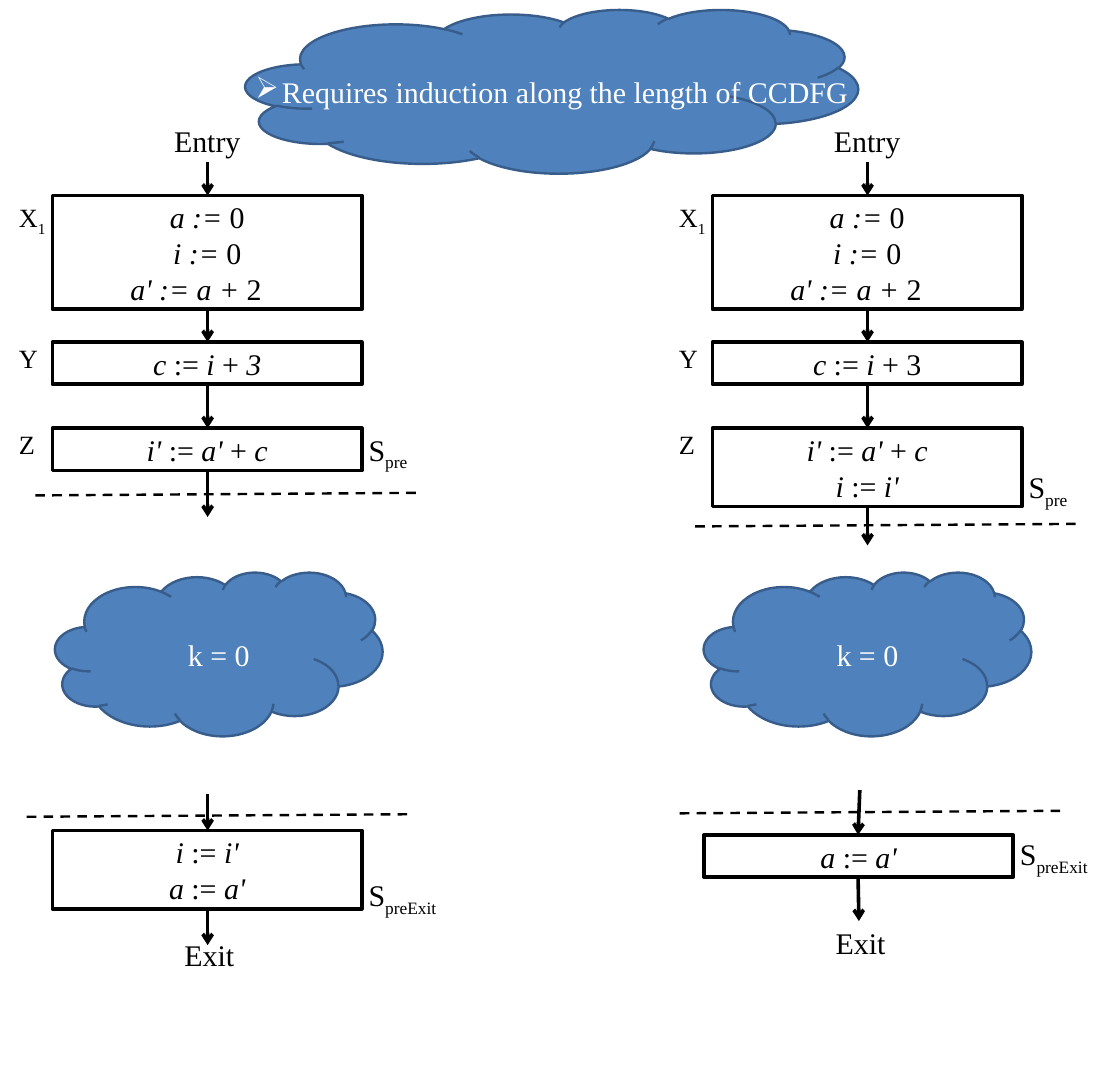
from pptx import Presentation
from pptx import util as u
from pptx.dml.color import RGBColor
from pptx.enum import dml, shapes, text
from pptx.oxml.ns import qn
from lxml import etree

COLORS = {"ink": "000000", "paper": "FFFFFF", "cloud": "4F81BD", "cloud_edge": "385D8A"}
FONT = "Times New Roman"
BOX_WIDTH = 3.59
COLUMN_GAP = 7.66
TRAILING_GAP = 0.26


def color(name):
    """Return the named colour."""
    return RGBColor.from_string(COLORS[name])


def add_runs(paragraph, markup, size=25, ink="ink"):
    """Write markup in which *stars* mean italics and _ starts a subscript."""
    for index, piece in enumerate(markup.split("*")):
        base, _, subscript = piece.partition("_")
        for words, lowered in ((base, False), (subscript, True)):
            if not words:
                continue
            run = paragraph.add_run()
            run.text = words
            run.font.name = FONT
            run.font.size = u.Pt(size)
            run.font.italic = index % 2 == 1
            run.font.color.rgb = color(ink)
            if lowered:
                run.font._element.set("baseline", "-25000")


def set_frame(shape, margins, anchor=text.MSO_ANCHOR.TOP, wrap=True):
    """Set margins (left, top, right, bottom), anchor and wrapping; return the frame."""
    frame = shape.text_frame
    frame.margin_left, frame.margin_top, frame.margin_right, frame.margin_bottom = map(u.Inches, margins)
    frame.vertical_anchor = anchor
    frame.word_wrap = wrap
    return frame


def add_label(slide, markup, left, top, width=0.5, height=0.49, size=25, pad=0.07, centered=False):
    """Add a one-line text label."""
    shape = slide.shapes.add_textbox(*map(u.Inches, (left, top, width, height)))
    frame = set_frame(shape, (pad, pad / 2, pad, pad / 2))
    paragraph = frame.paragraphs[0]
    paragraph.alignment = text.PP_ALIGN.CENTER if centered else text.PP_ALIGN.LEFT
    add_runs(paragraph, markup, size)


def add_state(slide, markup, left, top, width):
    """Add a state name beside a block."""
    add_label(slide, markup, left, top, width, 0.58, pad=0.1)


def add_block(slide, lines, left, top, height, shifted=()):
    """Add an outlined block of statements; shifted lines sit left of centre."""
    shape = slide.shapes.add_shape(
        shapes.MSO_SHAPE.RECTANGLE, *map(u.Inches, (left, top, BOX_WIDTH, height)))
    shape.shadow.inherit = False
    shape.fill.background()
    shape.line.color.rgb = color("ink")
    shape.line.width = u.Pt(3)
    gap = TRAILING_GAP if shifted else 0
    frame = set_frame(shape, (0.07, 0.04, 0.07 + gap, 0.04))
    for index, line in enumerate(lines):
        paragraph = frame.add_paragraph() if index else frame.paragraphs[0]
        paragraph.alignment = text.PP_ALIGN.CENTER
        if gap and index not in shifted:
            paragraph._p.get_or_add_pPr().set("marL", str(u.Inches(gap)))
        add_runs(paragraph, line)


def add_line(slide, start, end, width=3, arrow=True):
    """Add a straight arrow or a dashed cut line."""
    line = slide.shapes.add_connector(
        shapes.MSO_CONNECTOR.STRAIGHT, *map(u.Inches, (*start, *end)))
    line.line.color.rgb = color("ink")
    line.line.width = u.Pt(width)
    if arrow:
        etree.SubElement(line.line._get_or_add_ln(), qn("a:tailEnd"), type="arrow")
    else:
        line.line.dash_style = dml.MSO_LINE.DASH
    etree.SubElement(line._element.spPr, qn("a:effectLst"))


def add_cut(slide, left, top):
    """Add a slightly rising dashed line."""
    add_line(slide, (left, top), (left + 4.5, top - 0.03), width=2, arrow=False)


def add_cloud(slide, words, left, top, width, height=1.9, bullet=None):
    """Add a cloud whose text is centred on its whole outline."""
    shape = slide.shapes.add_shape(
        shapes.MSO_SHAPE.CLOUD, *map(u.Inches, (left, top, width, height)))
    shape.shadow.inherit = False
    shape.fill.solid()
    shape.fill.fore_color.rgb = color("cloud")
    shape.line.color.rgb = color("cloud_edge")
    shape.line.width = u.Pt(2)
    margins = (0.1 + 0.07 * width, 0.05 + 0.05 * height, 0.1, 0.05)
    frame = set_frame(shape, margins, text.MSO_ANCHOR.MIDDLE, wrap=False)
    paragraph = frame.paragraphs[0]
    paragraph.alignment = text.PP_ALIGN.CENTER
    if bullet:
        properties = paragraph._p.get_or_add_pPr()
        properties.set("marL", str(u.Inches(0.31)))
        properties.set("indent", str(-u.Inches(0.31)))
        bullet_color = etree.SubElement(properties, qn("a:buClr"))
        etree.SubElement(bullet_color, qn("a:srgbClr"), val=COLORS["paper"])
        etree.SubElement(properties, qn("a:buChar"), char=bullet)
    add_runs(paragraph, words, ink="paper")


def add_entry(slide, left, y_line, z_lines, z_height, state_top, cut_top, arrow_end):
    """Draw a column from its entry to the state before the loop."""
    center = left + 2.41
    box_left = left + 0.61
    z_bottom = 4.97 + z_height
    add_label(slide, "Entry", left + 1.81, 1.39, 1.19, centered=True)
    for top, bottom in ((1.88, 2.27), (3.6, 3.97), (4.47, 4.97), (z_bottom, arrow_end)):
        add_line(slide, (center, top), (center, bottom))
    for name, top in (("X_1", 2.3), ("Y", 3.94), ("Z", 4.94)):
        add_label(slide, name, left + 0.15, top, size=22)
    add_block(slide, ["*a := *0", "*i := *0", "*a' := a + *2"], box_left, 2.27, 1.32, shifted=(2,))
    add_block(slide, [y_line], box_left, 3.97, 0.49)
    add_block(slide, z_lines, box_left, 4.97, z_height)
    add_cut(slide, left + 0.41, cut_top)
    add_state(slide, "S_pre", left + 4.18, state_top, 0.85)


def add_exit(slide, left, top, lines, height, state_top, cut, arrows, exit_at):
    """Draw the block after the loop with its arrows and exit."""
    add_cut(slide, *cut)
    add_block(slide, lines, left, top, height)
    add_state(slide, "S_preExit", left + 3.57, state_top, 1.16)
    for start, end in arrows:
        add_line(slide, start, end)
    add_label(slide, "Exit", *exit_at, width=0.9)


def main():
    """Build the slide and save it."""
    presentation = Presentation()
    presentation.slide_width = u.Inches(13)
    presentation.slide_height = u.Inches(12.5)
    slide = presentation.slides.add_slide(presentation.slide_layouts[6])

    z_line = "*i' *:=* a' *+ *c*"
    copy_i = "*i *:= *i'*"
    copy_a = "*a *:=* a'*"

    add_entry(slide, 0, "*c *:=* i *+* 3*", [z_line], 0.49,
              state_top=4.96, cut_top=5.75, arrow_end=6)
    add_exit(slide, 0.61, 9.64, [copy_i, copy_a], 0.91, state_top=10.13, cut=(0.31, 9.48),
             arrows=[((2.41, 9.22), (2.41, 9.64)), ((2.41, 10.55), (2.41, 10.97))],
             exit_at=(2.07, 10.84))

    add_cloud(slide, "Requires induction along the length of CCDFG", 2.85, 0.11, 7.11, bullet="➢")

    add_entry(slide, COLUMN_GAP, "*c *:=* i *+ 3", [z_line, copy_i], 0.91,
              state_top=5.39, cut_top=6.11, arrow_end=6.33)
    add_exit(slide, 8.17, 9.69, [copy_a], 0.49, state_top=9.65, cut=(7.89, 9.44),
             arrows=[((9.98, 9.17), (9.96, 9.69)), ((9.96, 10.19), (9.97, 10.69))],
             exit_at=(9.63, 10.69))

    for left in (0.64, 8.17):
        add_cloud(slide, "k = 0", left, 6.64, 3.8)

    presentation.save("out.pptx")


if __name__ == "__main__":
    main()
